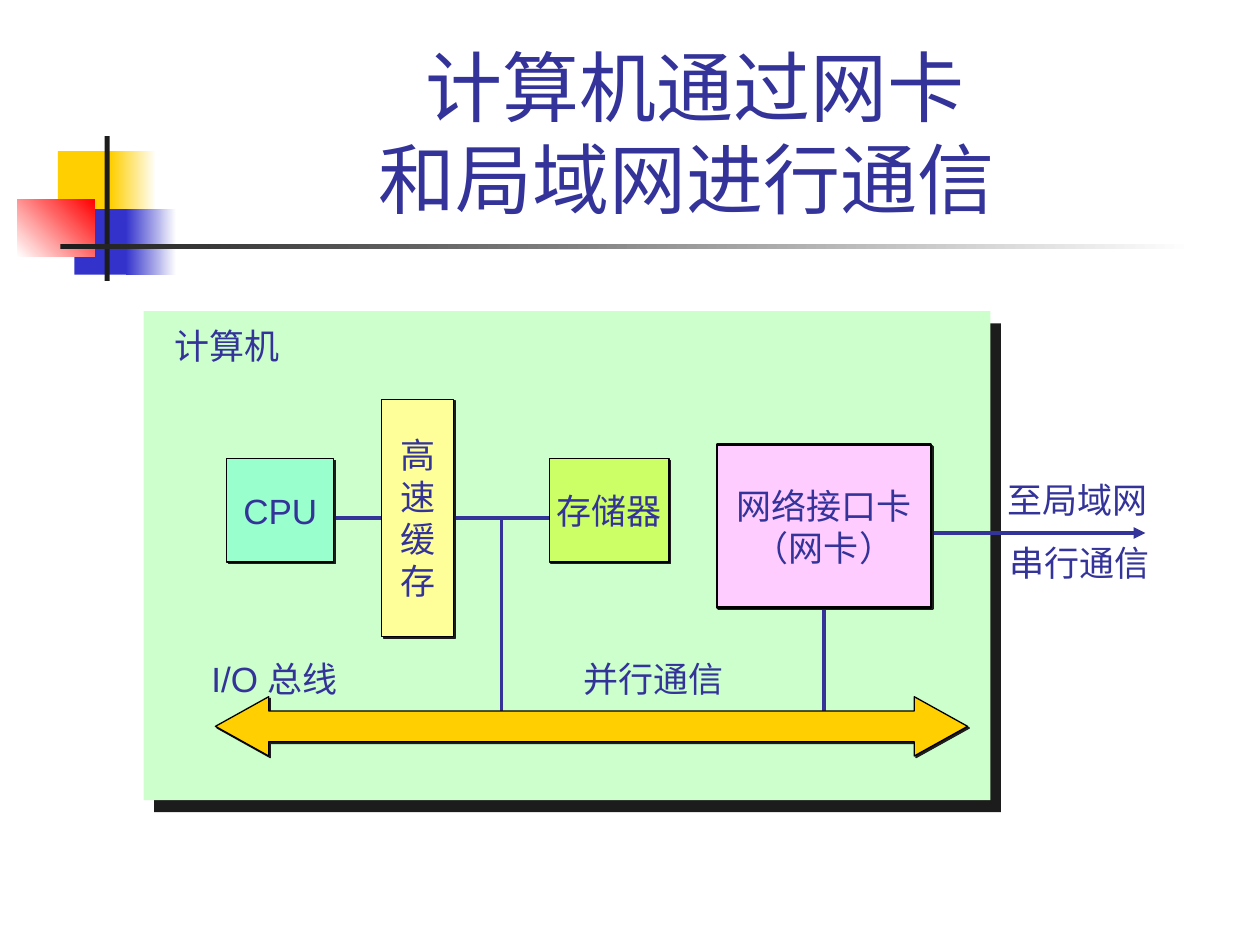
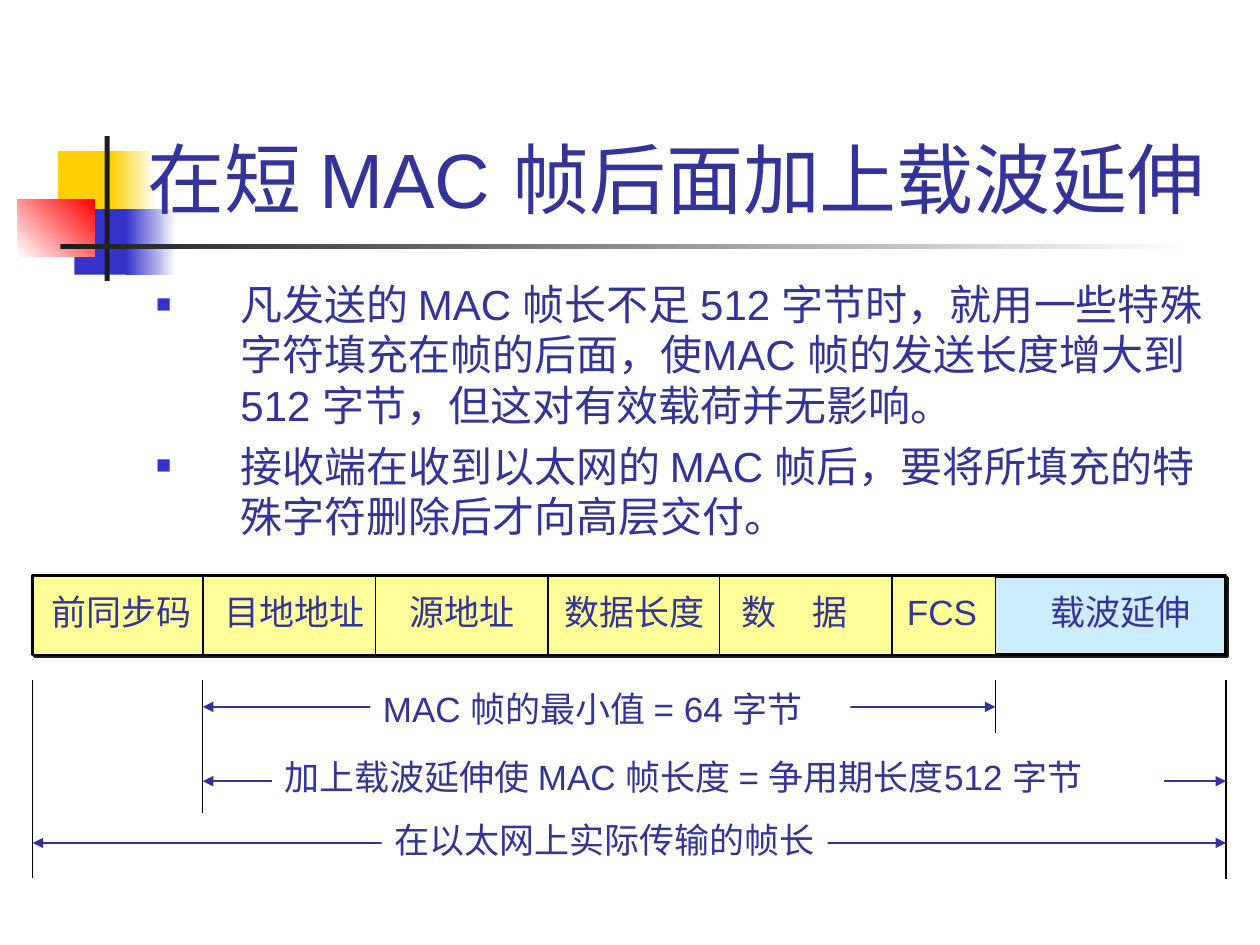
import pptx
import pptx.util
import pptx.dml.color
import pptx.enum.shapes
import pptx.enum.text
import pptx.oxml
import pptx.oxml.ns
from lxml import etree

PX = 9144  # EMU in one px, 100 px to the inch
FONT = "Arial"
HEX = {
    "ink": "333399", "black": "000000", "white": "FFFFFF", "dark": "1C1C1C",
    "gold": "FFCF01", "blue": "3333CC", "red": "FF0000",
    "host": "CCFFCC", "cpu": "99FFCC", "cache": "FFFF99", "store": "CCFF66",
    "card": "FFCCFF", "frame": "FFFF99", "pad": "CCECFF",
}
MSO = pptx.enum.shapes.MSO_SHAPE
ALIGN = pptx.enum.text.PP_ALIGN
ANCHOR = pptx.enum.text.MSO_ANCHOR
AUTO = pptx.enum.text.MSO_AUTO_SIZE


# --- helpers ---
def rgb(name):
    return pptx.dml.color.RGBColor.from_string(HEX[name])


def emu(*nums):
    return [num * PX for num in nums]


def node(root, tag, **attrs):
    item = etree.SubElement(root, pptx.oxml.ns.qn(tag))
    for key, val in attrs.items():
        item.set(key, str(val))
    return item


def write(frame, paras, size=20, align=ALIGN.LEFT, wrap=False):
    """Fill a text frame, one paragraph for each string."""
    frame.word_wrap = wrap
    for num, text in enumerate(paras):
        para = frame.paragraphs[0] if num == 0 else frame.add_paragraph()
        para.alignment = align
        for row, part in enumerate(text.split("\n")):
            if row:
                para.add_line_break()
            run = para.add_run()
            run.text = part
            run.font.size = pptx.util.Pt(size)
            run.font.name = FONT
            run.font.color.rgb = rgb("ink")


def shade(shape, dist, angle):
    """Add a hard dark shadow."""
    shape.shadow.inherit = False
    glow = shape._element.spPr.find(pptx.oxml.ns.qn("a:effectLst"))
    drop = node(glow, "a:outerShdw", blurRad=0, dist=round(dist * 12700),
                dir=angle * 60000, algn="ctr", rotWithShape=0)
    node(drop, "a:srgbClr", val=HEX["dark"])


def box(slide, area, fill, edge=0, drop=None, kind=MSO.RECTANGLE):
    shape = slide.shapes.add_shape(kind, *emu(*area))
    shape.shadow.inherit = False
    shape.fill.solid()
    shape.fill.fore_color.rgb = rgb(fill)
    if edge:
        shape.line.color.rgb = rgb("black")
        shape.line.width = pptx.util.Pt(edge)
    else:
        shape.line.fill.background()
    if drop:
        shade(shape, *drop)
    return shape


def fade(slide, area, start, end, angle=0):
    shape = box(slide, area, start)
    shape.fill.gradient()
    shape.fill.gradient_angle = angle
    for stop, name in zip(shape.fill.gradient_stops, (start, end)):
        stop.color.rgb = rgb(name)


def part(slide, area, fill, paras, edge=0.75):
    """Add a named block of the computer."""
    shape = box(slide, area, fill, edge, (1.4, 45))
    shape.text_frame.vertical_anchor = ANCHOR.MIDDLE
    write(shape.text_frame, paras, align=ALIGN.CENTER)
    return shape


def label(slide, area, text, fill=None):
    shape = slide.shapes.add_textbox(*emu(*area))
    if fill:
        shape.fill.solid()
        shape.fill.fore_color.rgb = rgb(fill)
    write(shape.text_frame, [text])
    shape.text_frame.auto_size = AUTO.SHAPE_TO_FIT_TEXT
    # spare room on the right keeps the text on one line
    shape.text_frame.margin_right = 4 * PX


def line(slide, ends, name="ink", width=1.0, tips=()):
    kind = pptx.enum.shapes.MSO_CONNECTOR.STRAIGHT
    link = slide.shapes.add_connector(kind, *emu(*ends))
    link.line.color.rgb = rgb(name)
    link.line.width = pptx.util.Pt(width)
    for tip in tips:
        node(link.line._get_or_add_ln(), tip, type="triangle")
    node(link._element.spPr, "a:effectLst")
    return link


def span(slide, left, right, y, area, text):
    """Add a two-headed measure with its label in the gap."""
    line(slide, (left, y, right, y), tips=("a:headEnd", "a:tailEnd"))
    label(slide, area, text, "white")


def bullet(para):
    para.space_before = pptx.util.Pt(6)
    props = para._p.get_or_add_pPr()
    props.set("marL", str(67 * PX))
    props.set("indent", str(-67 * PX))
    node(node(props, "a:buClr"), "a:srgbClr", val=HEX["blue"])
    node(props, "a:buSzPct", val=60000)
    node(props, "a:buFont", typeface=FONT)
    node(props, "a:buChar", char="■")


# --- shared look ---
def base(deck, text, left, width):
    slide = deck.slides.add_slide(deck.slide_layouts[6])
    box(slide, (46, 120, 48, 52), "gold")
    fade(slide, (88, 120, 36, 52), "gold", "white")
    box(slide, (59, 166, 46, 52), "blue")
    fade(slide, (100, 166, 40, 52), "blue", "white")
    fade(slide, (14, 158, 61, 46), "white", "red", 45)
    box(slide, (83, 108, 4, 115), "dark")
    fade(slide, (48, 194, 900, 4), "dark", "white")
    title = slide.shapes.add_textbox(*emu(left, 23, width, 160))
    title.text_frame.vertical_anchor = ANCHOR.BOTTOM
    write(title.text_frame, [text], 44, ALIGN.CENTER, True)
    return slide


# --- slide 1: network card ---
def host(deck):
    slide = base(deck, "计算机通过网卡\n和局域网进行通信 ", 126, 852)
    box(slide, (114, 247, 672, 388), "host", drop=(9.2, 49))

    # wires behind the blocks
    line(slide, (398, 576, 398, 411), width=2.25)
    line(slide, (265, 411, 436, 411), width=2.25)
    wire = line(slide, (654, 482, 654, 576), width=2.25)
    line(slide, (730, 423, 909, 423), width=2.25, tips=("a:tailEnd",))

    # blocks
    part(slide, (180, 364, 85, 82), "cpu", ["CPU"])
    part(slide, (303, 317, 57, 188), "cache", list("高速缓存"))
    part(slide, (436, 364, 95, 82), "store", ["存储器"])
    card = part(slide, (569, 353, 170, 129), "card",
                ["网络接口卡", "（网卡）"], 1.5)
    wire.begin_connect(card, 2)

    # bus
    bus = box(slide, (171, 553, 597, 47), "gold", 0.75, (1.4, 45),
              MSO.LEFT_RIGHT_ARROW)
    bus.adjustments[0] = 0.52
    bus.adjustments[1] = 0.9

    # labels
    for left, top, width, text in (
            (158, 517, 127, "I/O 总线"), (129, 253, 103, "计算机"),
            (790, 375, 131, "至局域网"), (791, 425, 131, "串行通信"),
            (453, 517, 131, "并行通信")):
        label(slide, (left, top, width, 44), text)


# --- slide 2: carrier extension ---
def frame(deck):
    slide = base(deck, "在短 MAC 帧后面加上载波延伸 ", 100, 888)
    body = slide.shapes.add_textbox(*emu(114, 216, 850, 245)).text_frame
    write(body, [
        "凡发送的 MAC 帧长不足 512 字节时，就用一些特殊字符填充在帧的后面，"
        "使MAC 帧的发送长度增大到 512 字节，但这对有效载荷并无影响。",
        "接收端在收到以太网的 MAC 帧后，要将所填充的特殊字符删除后才向高层交付。",
    ], 24, wrap=True)
    for para in body.paragraphs:
        bullet(para)

    # frame fields
    start, dest, tail, end = 26, 161, 790, 973
    box(slide, (start, 457, end - start, 63), "frame", 1.5, (1.4, 45))
    for x in (dest, 298, 435, 571, 708, tail):
        line(slide, (x, 457, x, 520), "black")
    box(slide, (tail, 458, 182, 61), "pad", 0.75)
    for left, width, text in (
            (31, 131, "前同步码"), (168, 131, "目地地址"),
            (315, 103, "源地址"), (438, 131, "数据长度"),
            (579, 131, "数　据"), (710, 76, "FCS"), (824, 131, "载波延伸")):
        label(slide, (left, 464, width, 43), text)

    # measures
    for x, low in ((start, 697), (dest, 645), (tail, 582), (end, 698)):
        line(slide, (x, 540, x, low), "black", 0.75)
    span(slide, dest, tail, 561, (294, 541, 381, 43),
         "MAC 帧的最小值 = 64 字节")
    span(slide, dest, end, 620, (216, 595, 708, 43),
         "加上载波延伸使 MAC 帧长度 = 争用期长度512 字节")
    span(slide, start, end, 669, (303, 645, 354, 43),
         "在以太网上实际传输的帧长")


def main():
    deck = pptx.Presentation()
    deck.slide_width, deck.slide_height = emu(1000, 750)
    host(deck)
    frame(deck)
    deck.save("out.pptx")


if __name__ == "__main__":
    main()
